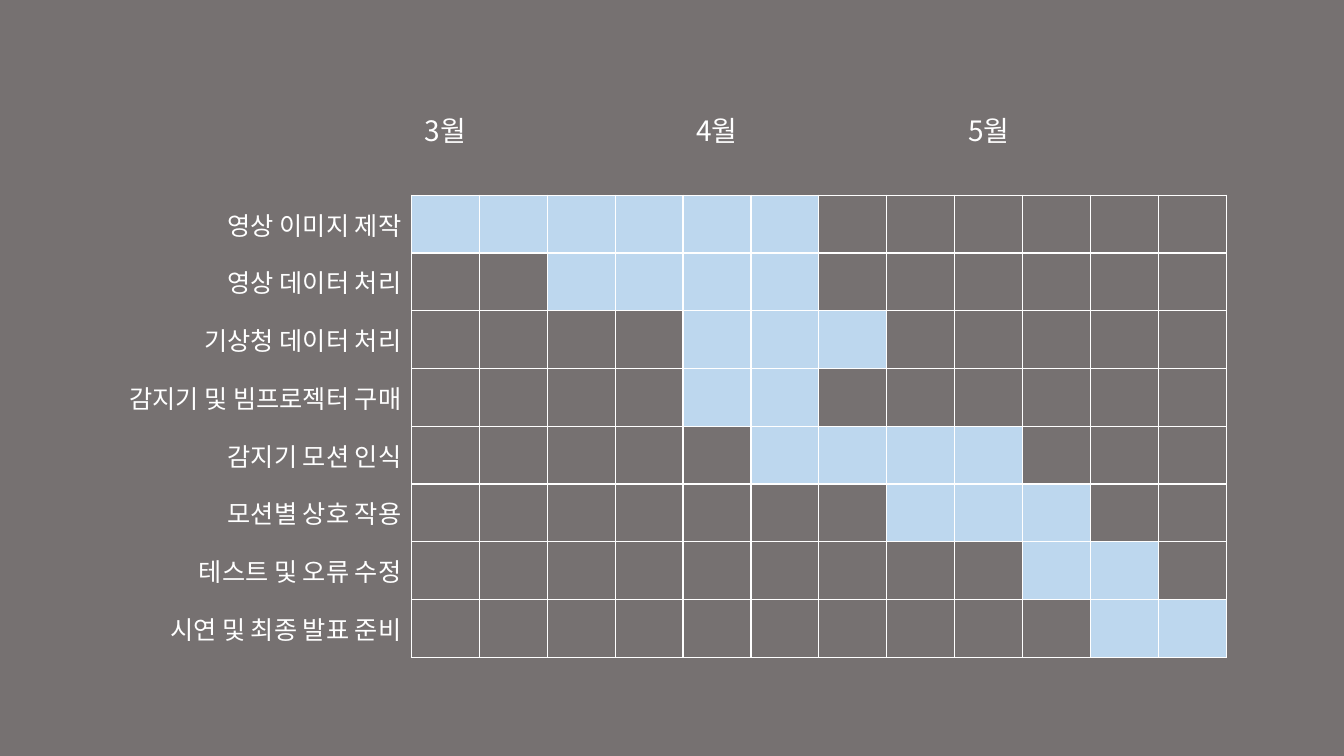
from pptx import Presentation
from pptx.dml.color import RGBColor
from pptx.enum.text import MSO_ANCHOR, PP_ALIGN
from pptx.oxml.ns import qn
from pptx.util import Inches, Pt
from lxml.etree import SubElement

# Content: month -> first column; task, first column, last column
MONTHS = {"3월": 1, "4월": 5, "5월": 9}
TASKS = [
    ("영상 이미지 제작", 1, 6),
    ("영상 데이터 처리", 3, 6),
    ("기상청 데이터 처리", 5, 7),
    ("감지기 및 빔프로젝터 구매", 5, 6),
    ("감지기 모션 인식", 6, 9),
    ("모션별 상호 작용", 8, 10),
    ("테스트 및 오류 수정", 10, 11),
    ("시연 및 최종 발표 준비", 11, 12),
]
WEEKS = 12
FONT = "Noto Sans CJK KR"
WHITE, GREY, BLUE = "FFFFFF", "767171", "BDD7EE"
LEFT, TOP = 0.92, 1.03
LABEL_W, WEEK_W = 3.16, 0.674
HEAD_H, TASK_H = 0.24, 0.573
NO_STYLE = "{2D5ABB26-0587-4C30-8999-92F81FD0307C}"


def color(value):
    return RGBColor.from_string(value)


def set_borders(cell, sides):
    tc_pr = cell._tc.get_or_add_tcPr()
    for i, side in enumerate("LRTB"):
        ln = tc_pr.makeelement(qn("a:ln" + side), {"w": str(Pt(1))})
        tc_pr.insert(i, ln)
        if side in sides:
            fill = SubElement(ln, qn("a:solidFill"))
            SubElement(fill, qn("a:srgbClr"), val=WHITE)
        else:
            SubElement(ln, qn("a:noFill"))


def set_text(cell, text, size, align):
    p = cell.text_frame.paragraphs[0]
    p.alignment = align
    r = p.add_run()
    r.text = text
    r.font.size = Pt(size)
    r.font.name = FONT
    r.font.color.rgb = color(WHITE)
    SubElement(r._r.get_or_add_rPr(), qn("a:ea"), typeface=FONT)


# Slide
prs = Presentation()
prs.slide_width, prs.slide_height = Inches(13.33), Inches(7.5)
s = prs.slides.add_slide(prs.slide_layouts[6])
s.background.fill.solid()
s.background.fill.fore_color.rgb = color(GREY)

# Table grid
n_rows = len(TASKS) + 1
table = s.shapes.add_table(
    n_rows, WEEKS + 1, Inches(LEFT), Inches(TOP),
    Inches(LABEL_W + WEEKS * WEEK_W),
    Inches(HEAD_H + len(TASKS) * TASK_H)).table
table.first_row = table.horz_banding = False
table._tbl.tblPr.find(qn("a:tableStyleId")).text = NO_STYLE
for col in range(WEEKS + 1):
    table.columns[col].width = Inches(WEEK_W if col else LABEL_W)
for row in range(n_rows):
    table.rows[row].height = Inches(TASK_H if row else HEAD_H)

# Fills and borders
for row in range(n_rows):
    for col in range(WEEKS + 1):
        cell = table.cell(row, col)
        if row and TASKS[row - 1][1] <= col <= TASKS[row - 1][2]:
            cell.fill.solid()
            cell.fill.fore_color.rgb = color(BLUE)
        else:
            cell.fill.background()
        if row and col:
            set_borders(cell, "LRTB")
        else:
            set_borders(cell, "R" if row else "B" if col else "")

# Month headings and task labels
for month, col in MONTHS.items():
    set_text(table.cell(0, col), month, 20, PP_ALIGN.CENTER)
for row, (task, _, _) in enumerate(TASKS, 1):
    cell = table.cell(row, 0)
    cell.vertical_anchor = MSO_ANCHOR.MIDDLE
    set_text(cell, task, 18, PP_ALIGN.RIGHT)

prs.save("out.pptx")
